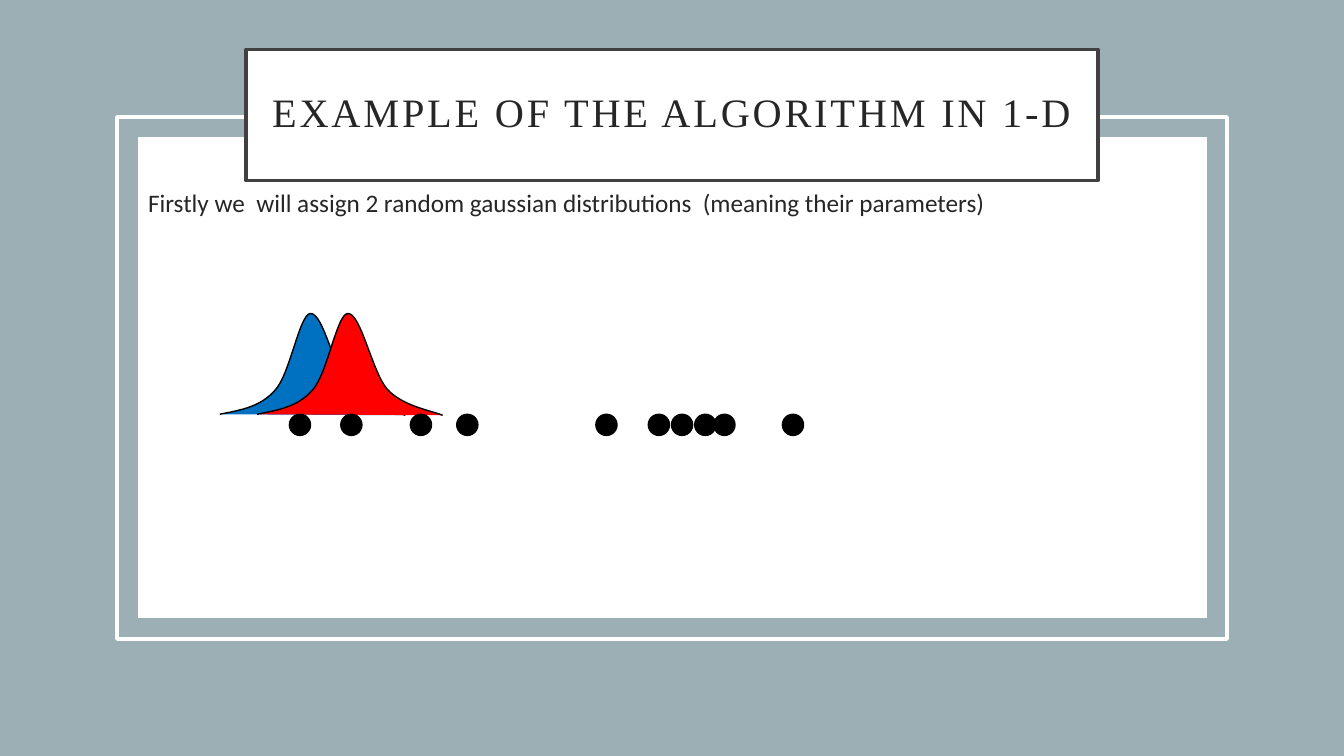
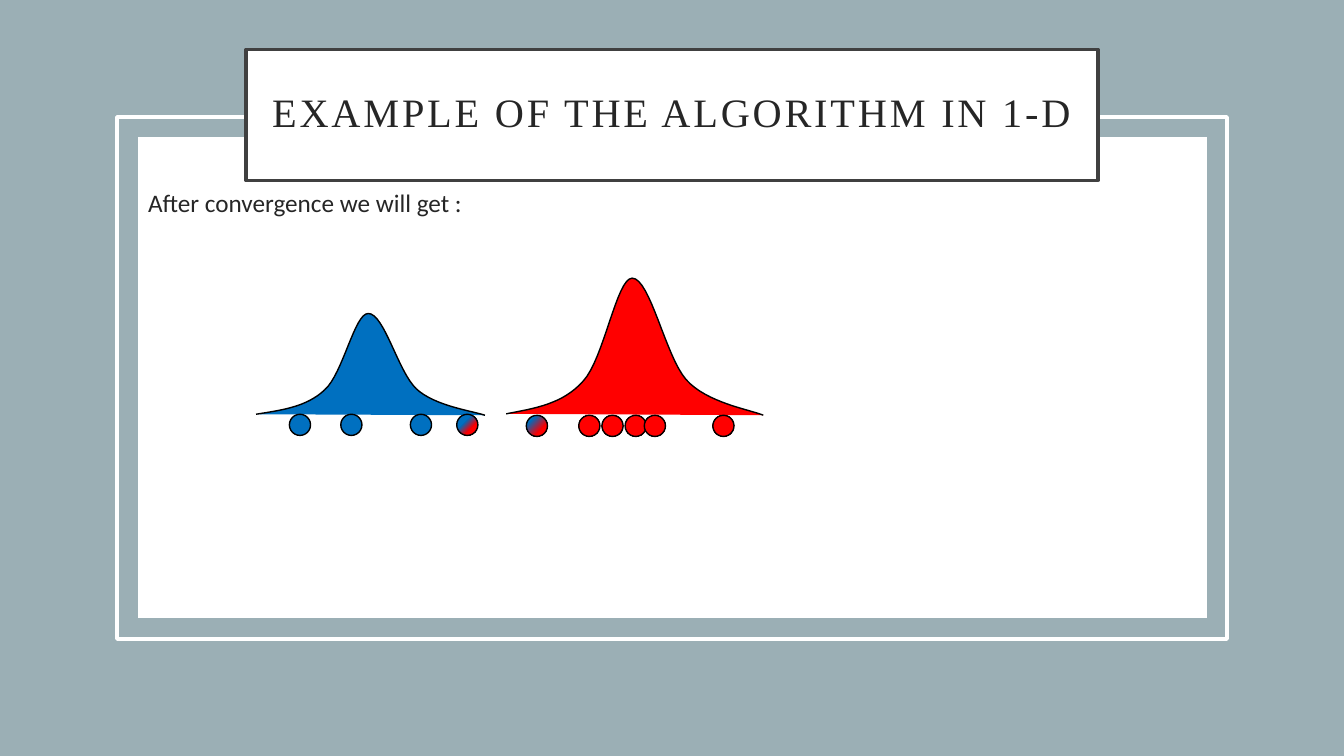
import pptx
import pptx.dml.color
import pptx.enum.shapes
import pptx.enum.text
import pptx.oxml
import pptx.oxml.ns
import pptx.util
from lxml import etree
from pptx.util import Inches, Pt

SHAPE = pptx.enum.shapes.MSO_SHAPE
qn = pptx.oxml.ns.qn

BACKDROP, WHITE, BLACK = "9BAFB5", "FFFFFF", "000000"
BORDER, INK = "404040", "262626"
BLUE, RED, SKY = "0070C0", "FF0000", "00B0F0"

TITLE = "EXAMPLE OF THE ALGORITHM IN 1-D"
DOT_SIZE = 0.21
LEFT_DOTS = [2.87, 3.38, 4.07, 4.53]
RIGHT_DOTS = [5.91, 6.43, 6.66, 6.89, 7.08, 7.76]
RIGHT_SHIFT = 0.69  # the right cluster moves left on the second slide

# Gradients are lists of (percent, colour)
MIXED_LEFT = [(0, BLUE), (38, BLUE), (69, RED), (97, RED)]
MIXED_RIGHT = [(0, BLUE), (24, BLUE), (70, RED), (96, RED)]
MOSTLY_RED = [(0, SKY), (12, RED), (70, RED), (97, RED)]

# Bells: left, top, width, height, colour. Dots: lefts, top, fills.
SLIDES = [
    {
        "text": "Firstly we  will assign 2 random gaussian distributions  (meaning their parameters)",
        "bells": [(2.18, 3.11, 1.84, 1.01, BLUE), (2.55, 3.11, 1.84, 1.01, RED)],
        "dots": [(LEFT_DOTS + RIGHT_DOTS, 4.11, [BLACK] * 10)],
    },
    {
        "text": "After convergence we will get :",
        "bells": [(2.54, 3.11, 2.27, 1.01, BLUE), (5.02, 2.76, 2.55, 1.36, RED)],
        "dots": [
            (LEFT_DOTS, 4.11, [BLUE] * 3 + [MIXED_LEFT]),
            ([x - RIGHT_SHIFT for x in RIGHT_DOTS], 4.12, [MIXED_RIGHT] + [MOSTLY_RED] * 5),
        ],
    },
]

# Bell outline in a unit box: a start point, then Bezier segments
BELL_START = (0, 0.99)
BELL_CURVES = [
    ((0.11, 0.95), (0.22, 0.92), (0.3, 0.75)),
    ((0.38, 0.59), (0.43, 0), (0.49, 0)),
    ((0.56, 0), (0.62, 0.57), (0.7, 0.74)),
    ((0.78, 0.91), (0.95, 0.96), (1, 1)),
]
STEPS = 16


def rgb(color):
    return pptx.dml.color.RGBColor.from_string(color)


def set_gradient(sp, stops):
    sp.fill.gradient()
    sp.fill.gradient_angle = 315  # counter-clockwise, so it runs to the lower right
    stop_list = sp._element.spPr.find(".//" + qn("a:gsLst"))
    stop_list.clear()
    for percent, color in stops:
        stop = etree.SubElement(stop_list, qn("a:gs"), pos=str(percent * 1000))
        etree.SubElement(stop, qn("a:srgbClr"), val=color)


def style(sp, fill=None, line=None, width=1):
    """Set fill (a colour, a gradient or None) and outline, without shadow."""
    sp.shadow.inherit = False
    if fill is None:
        sp.fill.background()
    elif isinstance(fill, list):
        set_gradient(sp, fill)
    else:
        sp.fill.solid()
        sp.fill.fore_color.rgb = rgb(fill)
    if line is None:
        sp.line.fill.background()
    else:
        sp.line.color.rgb = rgb(line)
        sp.line.width = Pt(width)


def add_shape(slide, kind, box, **look):
    sp = slide.shapes.add_shape(kind, *map(Inches, box))
    style(sp, **look)
    return sp


def write(tf, text, font, size):
    tf.word_wrap = True
    p = tf.paragraphs[0]
    p.text = text
    p.font.name = font
    p.font.size = Pt(size)
    p.font.color.rgb = rgb(INK)
    return p


def add_title(slide):
    sp = add_shape(slide, SHAPE.RECTANGLE, (2.44, 0.49, 8.45, 1.3),
                   fill=WHITE, line=BORDER, width=2.5)
    tf = sp.text_frame
    tf.margin_left = tf.margin_right = tf.margin_top = tf.margin_bottom = Inches(0.2)
    tf.vertical_anchor = pptx.enum.text.MSO_ANCHOR.MIDDLE
    p = write(tf, TITLE, "Times New Roman", 28.8)
    p.alignment = pptx.enum.text.PP_ALIGN.CENTER
    p.line_spacing = 0.9
    p.runs[0].font._element.set("spc", "200")


def add_frame(slide):
    slide.background.fill.solid()
    slide.background.fill.fore_color.rgb = rgb(BACKDROP)
    add_shape(slide, SHAPE.RECTANGLE, (1.37, 1.36, 10.6, 4.77), fill=WHITE)
    add_shape(slide, SHAPE.RECTANGLE, (1.16, 1.16, 11.01, 5.18), line=WHITE, width=2.5)
    add_title(slide)


def bell_points():
    """Sample the unit bell outline."""
    points = [BELL_START]
    for b, c, d in BELL_CURVES:
        a = points[-1]
        for step in range(1, STEPS + 1):
            t = step / STEPS
            u = 1 - t
            points.append(tuple(
                u**3 * a[i] + 3 * u * u * t * b[i] + 3 * u * t * t * c[i] + t**3 * d[i]
                for i in (0, 1)))
    return points


def add_bell(slide, left, top, width, height, color):
    points = [(Inches(left + x * width), Inches(top + y * height)) for x, y in bell_points()]
    builder = slide.shapes.build_freeform(*points[0])
    builder.add_line_segments(points[1:], close=False)
    style(builder.convert_to_shape(), fill=color, line=BLACK)


def main():
    prs = pptx.Presentation()
    prs.slide_width, prs.slide_height = Inches(13.33), Inches(7.5)
    for content in SLIDES:
        slide = prs.slides.add_slide(prs.slide_layouts[6])
        add_frame(slide)
        box = slide.shapes.add_textbox(*map(Inches, (1.37, 1.81, 9.33, 3.88)))
        write(box.text_frame, content["text"], "Calibri", 18)
        for bell in content["bells"]:
            add_bell(slide, *bell)
        for lefts, top, fills in content["dots"]:
            for left, fill in zip(lefts, fills):
                add_shape(slide, SHAPE.OVAL, (left, top, DOT_SIZE, DOT_SIZE),
                          fill=fill, line=BLACK)
    prs.save("out.pptx")


if __name__ == "__main__":
    main()
